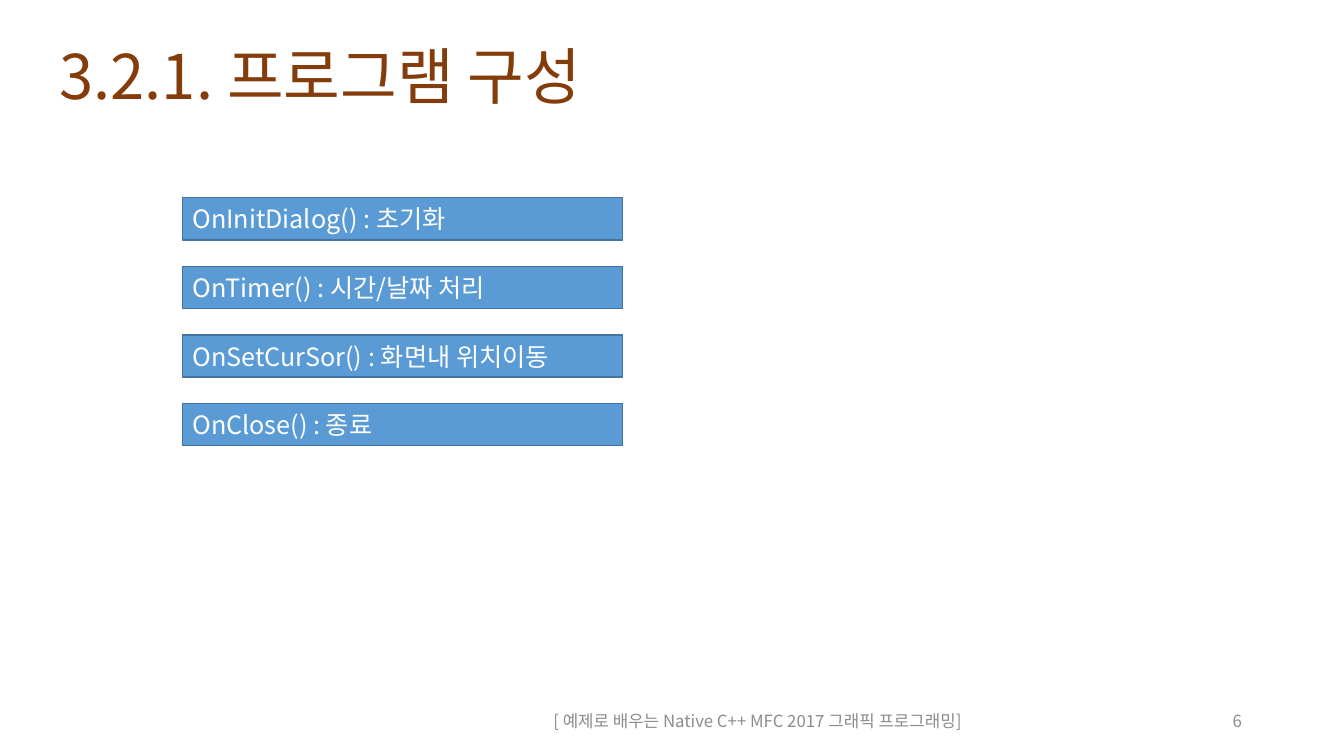
from dataclasses import dataclass

from lxml.etree import SubElement
from pptx import Presentation
from pptx.dml.color import RGBColor as RGB
from pptx.enum.shapes import MSO_SHAPE as Shape
from pptx.enum.text import MSO_ANCHOR as Anchor, PP_ALIGN as Align
from pptx.oxml.ns import qn
from pptx.util import Pt


@dataclass(frozen=True)
class Theme:
    font: str = "Noto Sans CJK KR"
    title: RGB = RGB(0x84, 0x3C, 0x0B)
    footer: RGB = RGB(0x8C, 0x8C, 0x8C)
    bar: RGB = RGB(0x5B, 0x9B, 0xD5)
    bar_line: RGB = RGB(0x43, 0x73, 0x9E)
    bar_text: RGB = RGB(0xFF, 0xFF, 0xFF)
    title_size: float = 44
    bar_size: float = 18
    footer_size: float = 12


@dataclass(frozen=True)
class Box:
    left: float
    top: float
    width: float
    height: float

    def emu(self) -> tuple:
        return Pt(self.left), Pt(self.top), Pt(self.width), Pt(self.height)


@dataclass(frozen=True)
class Label:
    text: str
    box: Box
    size: float
    color: RGB
    align: Align = Align.LEFT
    spacing: float = 1.0


THEME = Theme()

LABELS = [
    Label("3.2.1. 프로그램 구성", Box(35.3, 27.4, 676.8, 58.3),
          THEME.title_size, THEME.title, spacing=0.9),
    Label("[ 예제로 배우는 Native C++ MFC 2017 그래픽 프로그래밍]",
          Box(318.2, 500.4, 445.7, 28.8),
          THEME.footer_size, THEME.footer, Align.CENTER),
    Label("6", Box(678.2, 500.4, 216, 28.8),
          THEME.footer_size, THEME.footer, Align.RIGHT),
]

HANDLERS = [
    "OnInitDialog() : 초기화",
    "OnTimer() : 시간/날짜 처리",
    "OnSetCurSor() : 화면내 위치이동",
    "OnClose() : 종료",
]
FIRST_BAR = Box(130.3, 141.2, 314.6, 30.2)
BAR_PITCH = 49


def write_text(sp, label: Label) -> None:
    tf = sp.text_frame
    tf.text = label.text
    tf.word_wrap = True
    tf.vertical_anchor = Anchor.MIDDLE
    p = tf.paragraphs[0]
    p.alignment = label.align
    p.line_spacing = label.spacing
    r = p.runs[0]
    r.font.size = Pt(label.size)
    r.font.color.rgb = label.color
    r.font.name = THEME.font
    # Hangul takes its face from the East Asian font
    SubElement(r.font._element, qn("a:ea"), typeface=THEME.font)


def add_label(s, label: Label) -> None:
    write_text(s.shapes.add_textbox(*label.box.emu()), label)


def add_bar(s, label: Label) -> None:
    sp = s.shapes.add_shape(Shape.RECTANGLE, *label.box.emu())
    sp.shadow.inherit = False
    sp.fill.solid()
    sp.fill.fore_color.rgb = THEME.bar
    sp.line.color.rgb = THEME.bar_line
    sp.line.width = Pt(1)
    write_text(sp, label)


def main() -> None:
    prs = Presentation()
    prs.slide_width, prs.slide_height = Pt(960), Pt(540)
    s = prs.slides.add_slide(prs.slide_layouts[6])

    # Title, footer and page number
    for label in LABELS:
        add_label(s, label)

    # Message handlers, evenly stacked
    for i, text in enumerate(HANDLERS):
        box = Box(FIRST_BAR.left, FIRST_BAR.top + i * BAR_PITCH,
                  FIRST_BAR.width, FIRST_BAR.height)
        add_bar(s, Label(text, box, THEME.bar_size, THEME.bar_text))

    prs.save("out.pptx")


if __name__ == "__main__":
    main()
